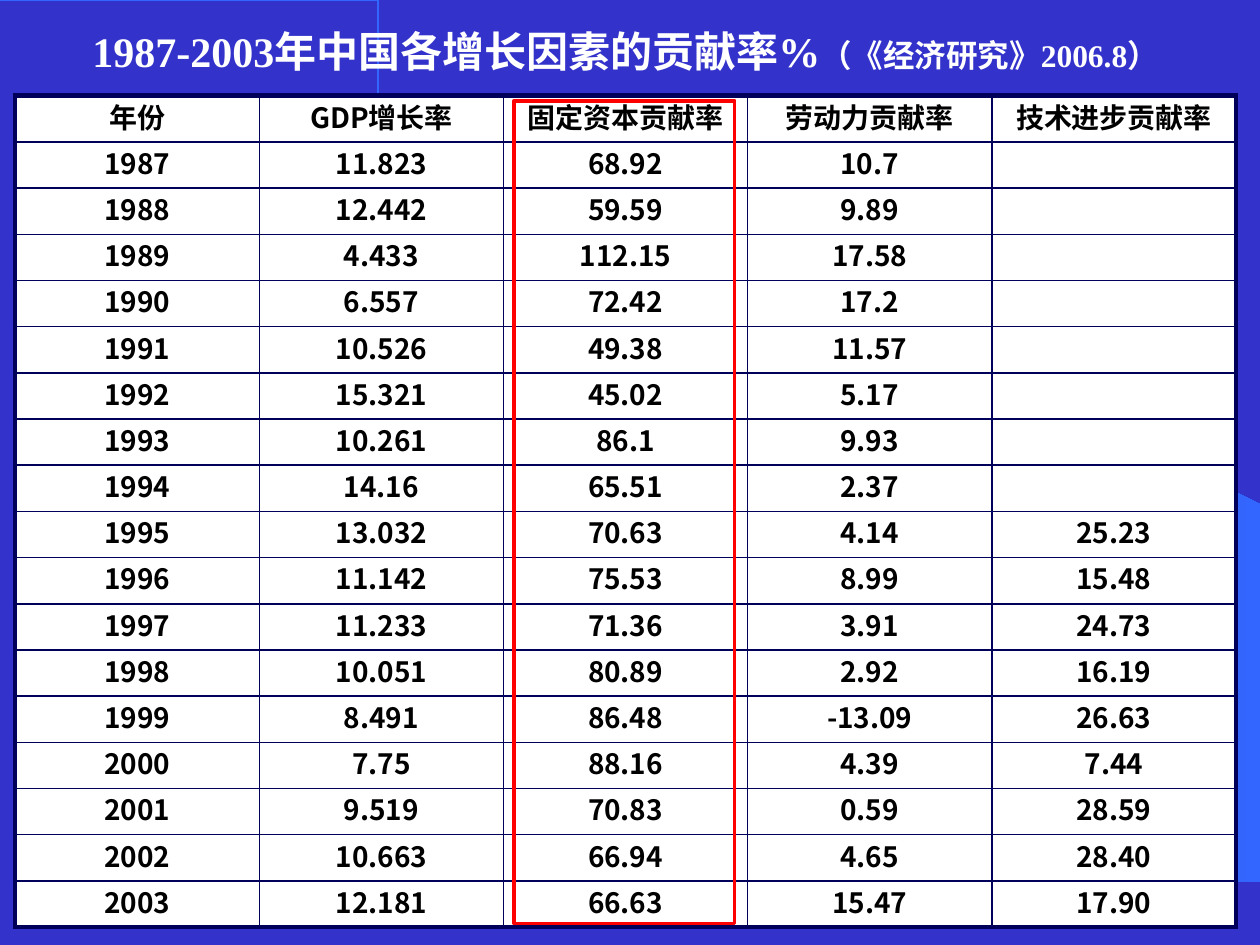
import pptx
import pptx.dml.color
import pptx.enum.shapes
import pptx.enum.text
import pptx.oxml
import pptx.oxml.ns
import pptx.util

Inches = pptx.util.Inches
Pt = pptx.util.Pt

HUES = {"back": "3333CC", "sky": "3366FF", "deep": "2449B6", "rule": "00005A",
        "white": "FFFFFF", "black": "000000", "red": "FF0000"}
SANS, SERIF = "Noto Sans CJK SC", "Times New Roman"

TITLE = [("1987-2003年中国各增长因素的贡献率%", 24), ("（《经济研究》2006.8）", 18)]
ROWS = [
    ("年份", "GDP增长率", "固定资本贡献率", "劳动力贡献率", "技术进步贡献率"),
    ("1987", "11.823", "68.92", "10.7", ""),
    ("1988", "12.442", "59.59", "9.89", ""),
    ("1989", "4.433", "112.15", "17.58", ""),
    ("1990", "6.557", "72.42", "17.2", ""),
    ("1991", "10.526", "49.38", "11.57", ""),
    ("1992", "15.321", "45.02", "5.17", ""),
    ("1993", "10.261", "86.1", "9.93", ""),
    ("1994", "14.16", "65.51", "2.37", ""),
    ("1995", "13.032", "70.63", "4.14", "25.23"),
    ("1996", "11.142", "75.53", "8.99", "15.48"),
    ("1997", "11.233", "71.36", "3.91", "24.73"),
    ("1998", "10.051", "80.89", "2.92", "16.19"),
    ("1999", "8.491", "86.48", "-13.09", "26.63"),
    ("2000", "7.75", "88.16", "4.39", "7.44"),
    ("2001", "9.519", "70.83", "0.59", "28.59"),
    ("2002", "10.663", "66.94", "4.65", "28.40"),
    ("2003", "12.181", "66.63", "15.47", "17.90"),
]
WEDGE = [(9.2, 7.48), (9.99, 7.49), (9.99, 4.23), (5.89, 1.73), (6.24, 1.99),
         (6.53, 2.22), (6.85, 2.5), (7.16, 2.8), (7.62, 3.3), (8.03, 3.84),
         (8.32, 4.31), (8.58, 4.79), (8.78, 5.28), (8.93, 5.72), (9.03, 6.09),
         (9.13, 6.56), (9.17, 6.96), (9.2, 7.48)]
BEND = [(0, 0), (5.08, 0), (9.2, 3.35), (9.2, 7.49)]
STEPS = 60


def hue(name):
    return pptx.dml.color.RGBColor.from_string(HUES[name])


def write(para, text, size=16, font=SANS, color="black", before=0):
    para.alignment = pptx.enum.text.PP_ALIGN.CENTER
    para.space_before = Pt(before)
    run = para.add_run()
    run.text = text
    run.font.size = Pt(size)
    run.font.name = font
    run.font.bold = True
    run.font.color.rgb = hue(color)
    east = pptx.oxml.parse_xml(
        f'<a:ea {pptx.oxml.ns.nsdecls("a")} typeface="{SANS}"/>')
    run.font._element.find(pptx.oxml.ns.qn("a:latin")).addnext(east)


def outline(shapes, points, close):
    form = shapes.build_freeform(*points[0], scale=Inches(1))
    form.add_line_segments(points[1:], close=close)
    shape = form.convert_to_shape()
    shape.shadow.inherit = False
    return shape


def curve(points):
    weights = (1, 3, 3, 1)
    return [tuple(sum(w * p[axis] * t ** k * (1 - t) ** (3 - k)
                      for k, (w, p) in enumerate(zip(weights, points)))
                  for axis in (0, 1))
            for t in (step / STEPS for step in range(STEPS + 1))]


def border(cell, outer):
    props = cell._tc.get_or_add_tcPr()
    for side in "LRTB":
        width = Pt(3 if side in outer else 1)
        props.append(pptx.oxml.parse_xml(
            f'<a:ln{side} {pptx.oxml.ns.nsdecls("a")} w="{width}"><a:solidFill>'
            f'<a:srgbClr val="{HUES["rule"]}"/></a:solidFill></a:ln{side}>'))


def backdrop(slide):
    slide.background.fill.solid()
    slide.background.fill.fore_color.rgb = hue("back")
    wedge = outline(slide.shapes, WEDGE, True)
    wedge.line.fill.background()
    wedge.fill.gradient()
    wedge.fill.gradient_angle = 0
    for stop, name, place in zip(wedge.fill.gradient_stops, ("deep", "sky"), (0, 1)):
        stop.color.rgb = hue(name)
        stop.position = place
    arc = outline(slide.shapes, curve(BEND), False)
    arc.fill.background()
    arc.line.color.rgb = hue("sky")
    arc.line.width = Pt(1)


def heading(slide):
    title = slide.shapes.title
    title.left, title.top = Inches(0.12), Inches(0.15)
    title.width, title.height = Inches(9.69), Inches(0.5)
    frame = title.text_frame
    frame.word_wrap = True
    frame.auto_size = pptx.enum.text.MSO_AUTO_SIZE.NONE
    frame.vertical_anchor = pptx.enum.text.MSO_ANCHOR.MIDDLE
    for text, size in TITLE:
        write(frame.paragraphs[0], text, size=size, font=SERIF, color="white")
    title.element.getparent().append(title.element)


def grid(slide):
    high, wide = len(ROWS), len(ROWS[0])
    table = slide.shapes.add_table(
        high, wide, Inches(0.12), Inches(0.76), Inches(9.69), Inches(6.6)).table
    table.first_row = table.horz_banding = False
    for r, row in enumerate(ROWS):
        for c, text in enumerate(row):
            cell = table.cell(r, c)
            cell.margin_top = cell.margin_bottom = 0
            edges = {"L": c == 0, "R": c == wide - 1, "T": r == 0, "B": r == high - 1}
            border(cell, [side for side, edge in edges.items() if edge])
            cell.fill.solid()
            cell.fill.fore_color.rgb = hue("white")
            write(cell.text_frame.paragraphs[0], text, before=3.2)


def marker(slide):
    box = slide.shapes.add_shape(
        pptx.enum.shapes.MSO_SHAPE.RECTANGLE,
        Inches(4.08), Inches(0.8), Inches(1.75), Inches(6.53))
    box.shadow.inherit = False
    box.fill.background()
    box.line.color.rgb = hue("red")
    box.line.width = Pt(2.25)


def main():
    deck = pptx.Presentation()
    deck.slide_width, deck.slide_height = Inches(10), Inches(7.5)
    slide = deck.slides.add_slide(deck.slide_layouts[5])
    for draw in (backdrop, heading, grid, marker):
        draw(slide)
    deck.save("out.pptx")


if __name__ == "__main__":
    main()
